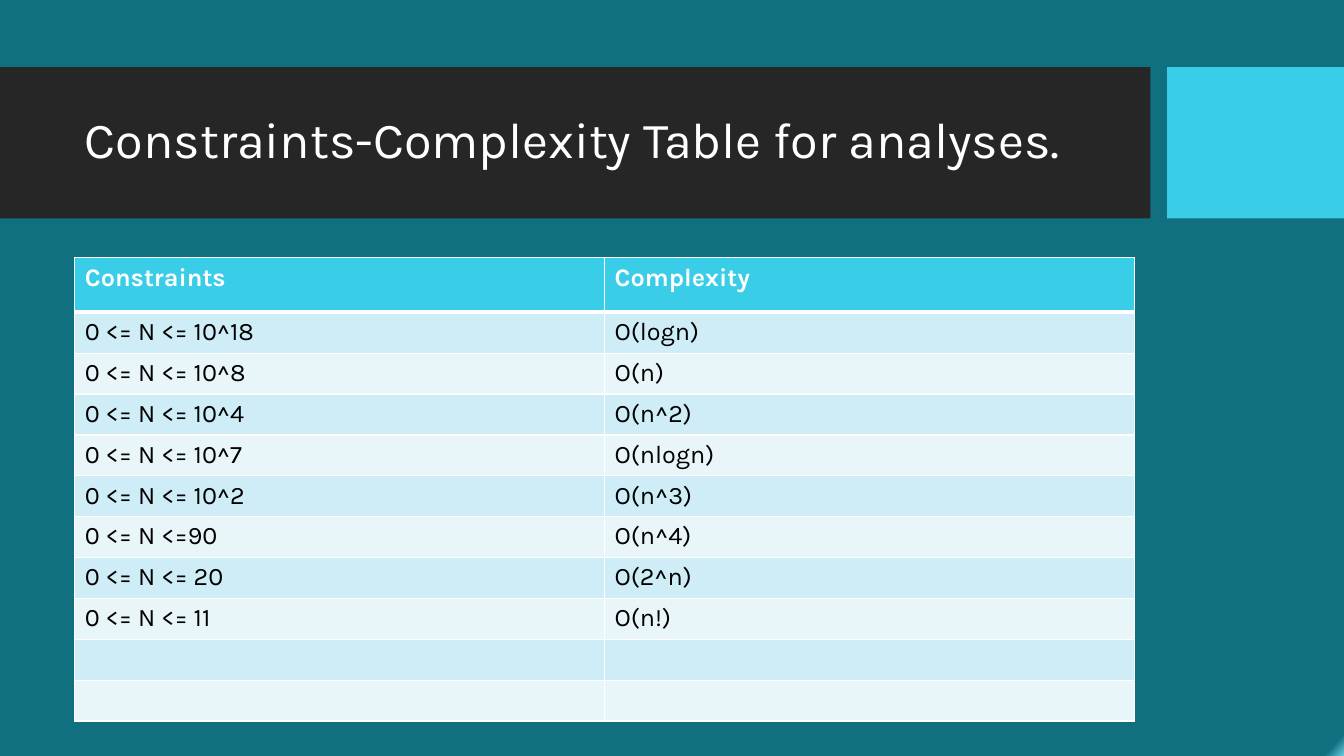
from dataclasses import dataclass

from lxml.etree import SubElement
from pptx import Presentation
from pptx.dml.color import RGBColor
from pptx.enum.shapes import MSO_SHAPE
from pptx.enum.text import MSO_ANCHOR, MSO_AUTO_SIZE, PP_ALIGN
from pptx.oxml.ns import qn
from pptx.slide import Slide
from pptx.table import _Cell
from pptx.text.text import _Paragraph
from pptx.util import Pt

COLORS = {
    "teal": "107080",
    "corner": "69CBDF",
    "charcoal": "262626",
    "cyan": "39CDE7",
    "band_dark": "CEEDF6",
    "band_light": "E8F6FA",
    "white": "FFFFFF",
    "black": "000000",
}
FONT = "Karla"
TITLE = "Constraints-Complexity Table for analyses."
LEFT, CONTENT_WIDTH = 53.4, 757
TABLE_TOP, HEADER_HEIGHT, ROW_HEIGHT = 184.2, 38.9, 29.2
BAR_TOP, BAR_HEIGHT = 48, 108


@dataclass(frozen=True)
class Bar:
    left: float
    width: float
    color: str


@dataclass(frozen=True)
class Row:
    constraint: str = ""
    complexity: str = ""


BARS = [Bar(0, 821.8, "charcoal"), Bar(833.6, 126.4, "cyan")]
ROWS = [
    Row("Constraints", "Complexity"),
    Row("0 <= N <= 10^18", "O(logn)"),
    Row("0 <= N <= 10^8", "O(n)"),
    Row("0 <= N <= 10^4", "O(n^2)"),
    Row("0 <= N <= 10^7", "O(nlogn)"),
    Row("0 <= N <= 10^2", "O(n^3)"),
    Row("0 <= N <=90", "O(n^4)"),
    Row("0 <= N <= 20", "O(2^n)"),
    Row("0 <= N <= 11", "O(n!)"),
    Row(),
    Row(),
]


def rgb(name: str) -> RGBColor:
    """Return the named colour."""
    return RGBColor.from_string(COLORS[name])


def format_paragraph(paragraph: _Paragraph, size: float, color: str, bold: bool = False) -> None:
    """Set the font of a whole paragraph."""
    font = paragraph.font
    font.name, font.size, font.bold = FONT, Pt(size), bold
    font.color.rgb = rgb(color)


def paint_background(slide: Slide) -> None:
    """Fill the slide with teal that lightens at the bottom right corner."""
    fill = slide.background.fill
    fill.gradient()
    fill.gradient_angle = 318
    for stop, position, color in zip(fill.gradient_stops, (0.99, 1), ("teal", "corner")):
        stop.position = position
        stop.color.rgb = rgb(color)


def add_bar(slide: Slide, bar: Bar) -> None:
    """Add one block of the title band."""
    shape = slide.shapes.add_shape(
        MSO_SHAPE.RECTANGLE, Pt(bar.left), Pt(BAR_TOP), Pt(bar.width), Pt(BAR_HEIGHT)
    )
    shape.shadow.inherit = False
    shape.fill.solid()
    shape.fill.fore_color.rgb = rgb(bar.color)
    shape.line.fill.background()


def place_title(slide: Slide) -> None:
    """Format the title and bring it in front of the band."""
    title = slide.shapes.title
    title.left, title.top = Pt(LEFT), Pt(59)
    title.width, title.height = Pt(CONTENT_WIDTH), Pt(85)
    title.element.getparent().append(title.element)
    frame = title.text_frame
    frame.text = TITLE
    frame.word_wrap = True
    frame.auto_size = MSO_AUTO_SIZE.NONE
    frame.vertical_anchor = MSO_ANCHOR.MIDDLE
    paragraph = frame.paragraphs[0]
    paragraph.alignment = PP_ALIGN.LEFT
    paragraph.line_spacing = 0.9
    format_paragraph(paragraph, 36, "white")


def set_borders(cell: _Cell, top: float, bottom: float) -> None:
    """Draw white borders, one point wide at the sides."""
    properties = cell._tc.get_or_add_tcPr()
    widths = {"a:lnL": 1, "a:lnR": 1, "a:lnT": top, "a:lnB": bottom}
    for position, (tag, width) in enumerate(widths.items()):
        line = SubElement(properties, qn(tag), w=str(Pt(width)))
        properties.insert(position, line)
        fill = SubElement(line, qn("a:solidFill"))
        SubElement(fill, qn("a:srgbClr"), val=COLORS["white"])


def format_cell(cell: _Cell, text: str, row_index: int) -> None:
    """Write and colour one cell according to its row."""
    header = row_index == 0
    band = "band_dark" if row_index % 2 else "band_light"
    cell.text = text
    cell.fill.solid()
    cell.fill.fore_color.rgb = rgb("cyan" if header else band)
    format_paragraph(cell.text_frame.paragraphs[0], 18, "white" if header else "black", header)
    set_borders(cell, 3 if row_index == 1 else 1, 3 if header else 1)


def add_complexity_table(slide: Slide) -> None:
    """Add the table of constraints and complexities."""
    height = HEADER_HEIGHT + ROW_HEIGHT * (len(ROWS) - 1)
    table = slide.shapes.add_table(
        len(ROWS), 2, Pt(LEFT), Pt(TABLE_TOP), Pt(CONTENT_WIDTH), Pt(height)
    ).table
    for index, row in enumerate(ROWS):
        table.rows[index].height = Pt(ROW_HEIGHT if index else HEADER_HEIGHT)
        for column, text in enumerate((row.constraint, row.complexity)):
            format_cell(table.cell(index, column), text, index)


def main() -> None:
    """Build and save the slide."""
    presentation = Presentation()
    presentation.slide_width, presentation.slide_height = Pt(960), Pt(540)
    slide = presentation.slides.add_slide(presentation.slide_layouts[5])
    paint_background(slide)
    for bar in BARS:
        add_bar(slide, bar)
    place_title(slide)
    add_complexity_table(slide)
    presentation.save("out.pptx")


if __name__ == "__main__":
    main()
